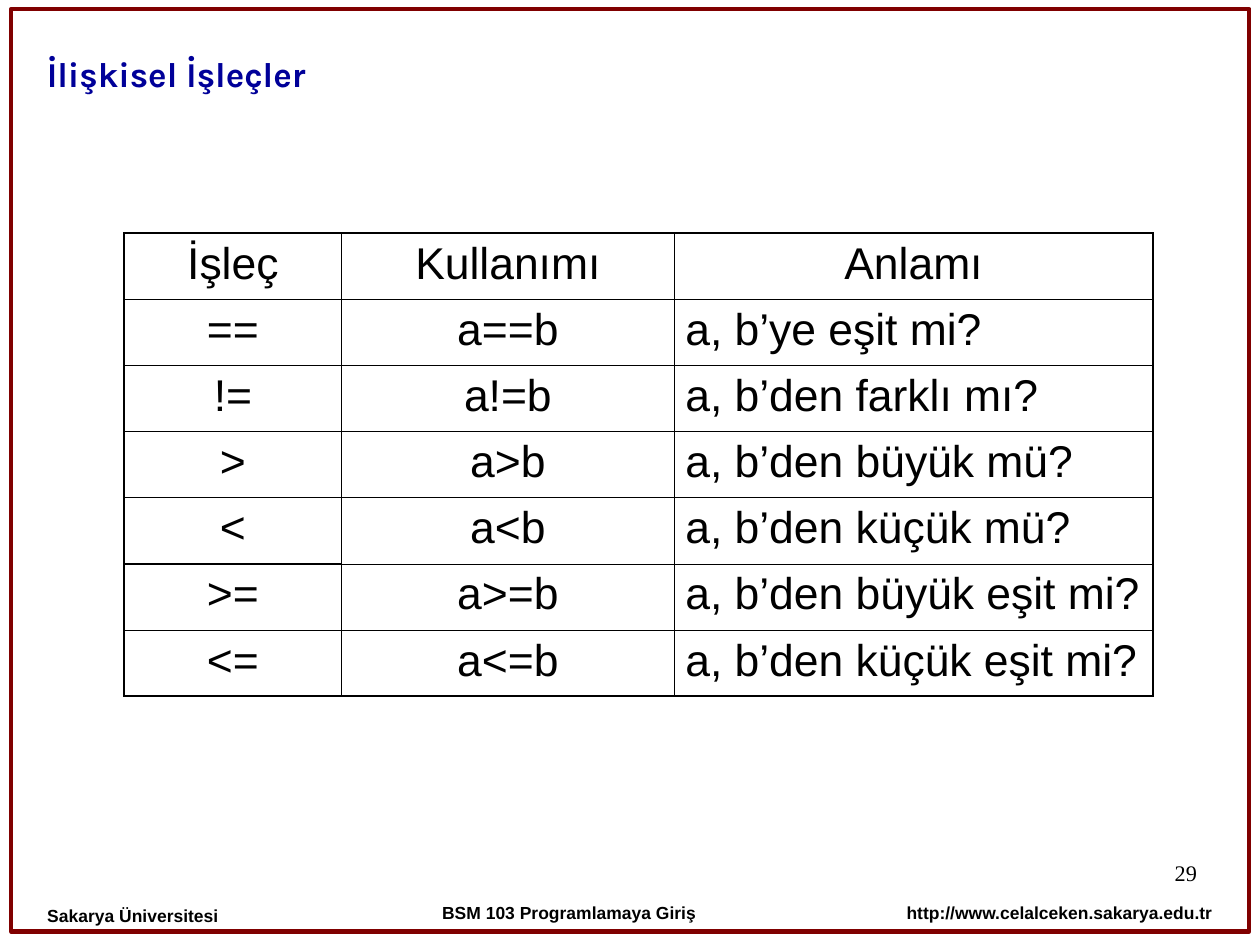
from collections import namedtuple
from dataclasses import dataclass

from lxml import etree
from pptx import Presentation
from pptx.dml.color import RGBColor
from pptx.enum.shapes import MSO_SHAPE
from pptx.enum.text import MSO_ANCHOR, MSO_AUTO_SIZE, PP_ALIGN
from pptx.oxml.ns import qn
from pptx.util import Pt

PX = 3600
LEFT, CENTER, RIGHT = PP_ALIGN.LEFT, PP_ALIGN.CENTER, PP_ALIGN.RIGHT
TOP, BOTTOM = MSO_ANCHOR.TOP, MSO_ANCHOR.BOTTOM
NO_AUTOFIT = MSO_AUTO_SIZE.NONE
ROUNDED = MSO_SHAPE.ROUNDED_RECTANGLE
TITLE_ONLY = 5

Box = namedtuple("Box", "left top width height")


@dataclass(frozen=True)
class Theme:
    """Colours, fonts, type sizes and line widths of the slide."""
    ink: str = "000000"
    heading: str = "000099"
    frame: str = "800000"
    body_font: str = "Arial"
    heading_font: str = "Karla"
    number_font: str = "Times New Roman"
    heading_size: int = 22
    table_size: int = 28
    number_size: int = 14
    footer_size: int = 11
    frame_line: float = 2.83
    thin_line: float = 0.45
    thick_line: float = 1.08


THEME = Theme()
COLUMN_WIDTHS = (483, 739, 1064)
ROW_HEIGHT = 147
DIVIDED_ROW = 5
OPERATORS = (
    ("İşleç", "Kullanımı", "Anlamı"),
    ("==", "a==b", "a, b’ye eşit mi?"),
    ("!=", "a!=b", "a, b’den farklı mı?"),
    (">", "a>b", "a, b’den büyük mü?"),
    ("<", "a<b", "a, b’den küçük mü?"),
    (">=", "a>=b", "a, b’den büyük eşit mi?"),
    ("<=", "a<=b", "a, b’den küçük eşit mi?"),
)
FOOTERS = (
    ("Sakarya Üniversitesi", Box(49, 1969, 599, 137), LEFT, 0.93),
    ("http://www.celalceken.sakarya.edu.tr", Box(1801, 1967, 950, 130), RIGHT, 0.83),
    ("BSM 103 Programlamaya Giriş", Box(790, 1967, 950, 130), CENTER, 0.83),
)


def scaled(box):
    """Turn a box in px into EMU lengths."""
    return [length * PX for length in box]


def apply_format(target, values):
    """Set every attribute named in a dict of format values."""
    for name, value in values.items():
        setattr(target, name, value)


def write_text(text_frame, text, align, font, size, color, bold=False, spacing=None):
    """Write one formatted paragraph into a text frame."""
    para = text_frame.paragraphs[0]
    apply_format(para, {"alignment": align, "line_spacing": spacing})
    span = para.add_run()
    span.text = text
    apply_format(span.font, {"name": font, "size": Pt(size), "bold": bold})
    span.font.color.rgb = RGBColor.from_string(color)


def set_frame(text_frame, margins, anchor=TOP):
    """Set wrapping, anchor and the four margins of a text frame."""
    left, top, right, bottom = scaled(margins)
    apply_format(text_frame, {
        "word_wrap": True, "auto_size": NO_AUTOFIT, "vertical_anchor": anchor,
        "margin_left": left, "margin_top": top,
        "margin_right": right, "margin_bottom": bottom,
    })


def add_frame(page, box):
    """Draw the border around the page."""
    frame = page.shapes.add_shape(ROUNDED, *scaled(box))
    frame.adjustments[0] = 0
    frame.shadow.inherit = False
    frame.fill.background()
    frame.line.color.rgb = RGBColor.from_string(THEME.frame)
    frame.line.width = Pt(THEME.frame_line)


def add_title(page, box, text):
    """Place and format the title placeholder."""
    title = page.shapes.title
    title.left, title.top, title.width, title.height = scaled(box)
    set_frame(title.text_frame, (25, 13, 25, 13), BOTTOM)
    write_text(title.text_frame, text, LEFT, THEME.heading_font,
               THEME.heading_size, THEME.heading, bold=True)


def add_footer(page, box, text, align, spacing):
    """Add one bold footer label."""
    text_frame = page.shapes.add_textbox(*scaled(box)).text_frame
    set_frame(text_frame, (56, 46, 56, 43))
    write_text(text_frame, text, align, THEME.body_font, THEME.footer_size,
               THEME.ink, bold=True, spacing=spacing)


def add_page_number(page, box, text):
    """Add the page number at the right of its box."""
    text_frame = page.shapes.add_textbox(*scaled(box)).text_frame
    set_frame(text_frame, (0, 0, 0, 0))
    write_text(text_frame, text, RIGHT, THEME.number_font, THEME.number_size,
               THEME.ink, spacing=0.95)


def set_borders(cell, thick_sides):
    """Draw the four cell borders, thick on the named sides."""
    properties = cell._tc.get_or_add_tcPr()
    for side in "LRTB":
        width = THEME.thick_line if side in thick_sides else THEME.thin_line
        line = etree.SubElement(properties, qn(f"a:ln{side}"), w=str(Pt(width)))
        fill = etree.SubElement(line, qn("a:solidFill"))
        etree.SubElement(fill, qn("a:srgbClr"), val=THEME.ink)


def find_thick_sides(row, column):
    """Name the sides of a cell that carry a thick border."""
    first = column == 0
    rules = {
        "L": first,
        "R": column == len(COLUMN_WIDTHS) - 1,
        "T": row == 0 or (first and row == DIVIDED_ROW),
        "B": row == len(OPERATORS) - 1 or (first and row == DIVIDED_ROW - 1),
    }
    return [side for side, thick in rules.items() if thick]


def add_operator_table(page, box):
    """Add the table of relational operators."""
    table = page.shapes.add_table(len(OPERATORS), len(COLUMN_WIDTHS), *scaled(box)).table
    apply_format(table, {"first_row": False, "horz_banding": False})
    for column, width in zip(table.columns, COLUMN_WIDTHS):
        column.width = width * PX
    for row_index, texts in enumerate(OPERATORS):
        table.rows[row_index].height = ROW_HEIGHT * PX
        for column_index, text in enumerate(texts):
            cell = table.cell(row_index, column_index)
            is_meaning = row_index > 0 and column_index == 2
            apply_format(cell, {
                "margin_left": 25 * PX, "margin_right": 25 * PX,
                "margin_top": 13 * PX, "margin_bottom": 13 * PX,
            })
            set_borders(cell, find_thick_sides(row_index, column_index))
            cell.fill.background()
            write_text(cell.text_frame, text, LEFT if is_meaning else CENTER,
                       THEME.body_font, THEME.table_size, THEME.ink)


def main():
    """Build the slide and save the deck."""
    deck = Presentation()
    deck.slide_width, deck.slide_height = 2800 * PX, 2100 * PX
    page = deck.slides.add_slide(deck.slide_layouts[TITLE_ONLY])
    add_frame(page, Box(25, 20, 2751, 2050))
    add_page_number(page, Box(2007, 1913, 653, 145), "29")
    add_title(page, Box(79, 71, 2032, 152), "İlişkisel İşleçler")
    for text, box, align, spacing in FOOTERS:
        add_footer(page, box, text, align, spacing)
    add_operator_table(page, Box(276, 518, sum(COLUMN_WIDTHS), ROW_HEIGHT * len(OPERATORS)))
    deck.save("out.pptx")


if __name__ == "__main__":
    main()
